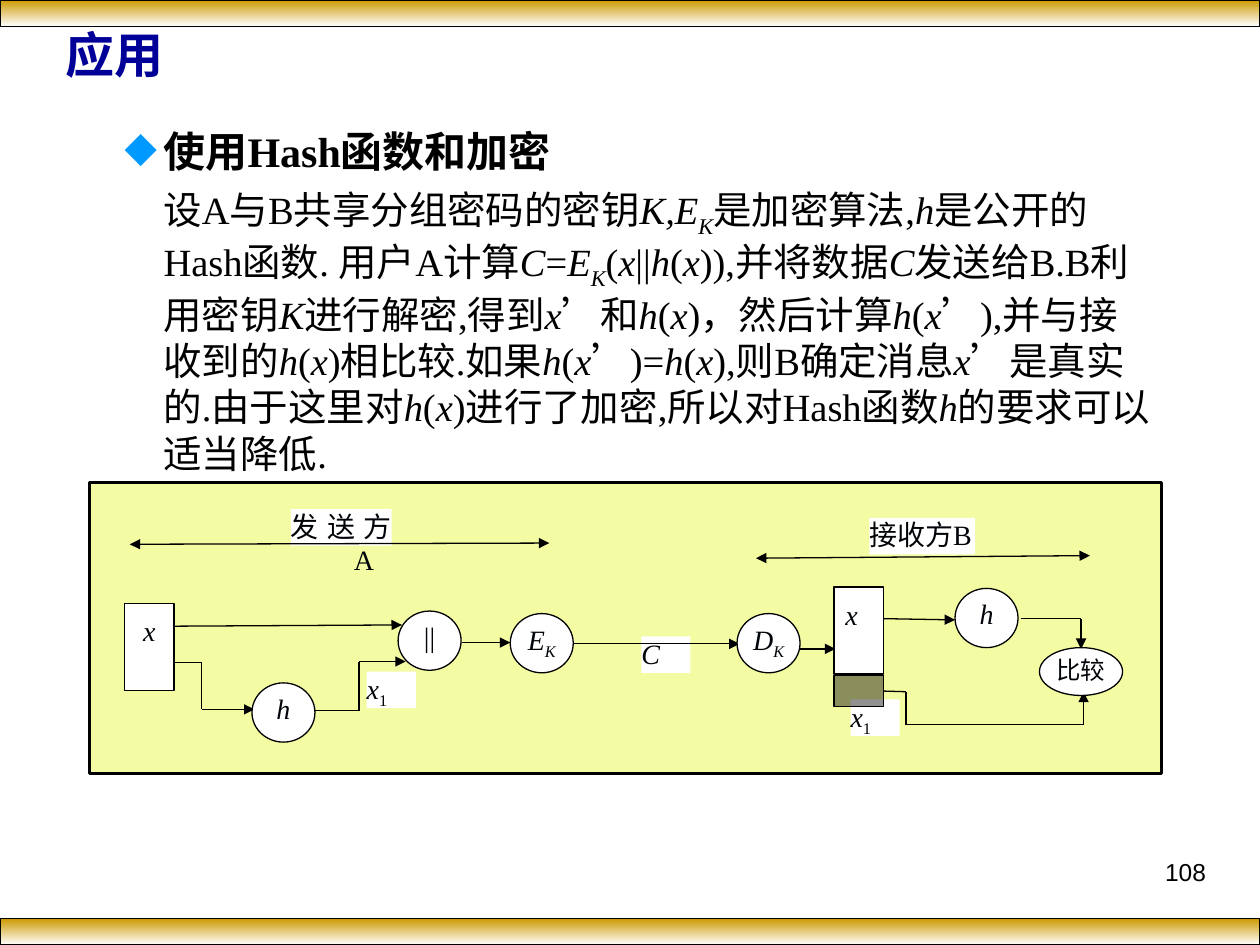
import itertools
from dataclasses import dataclass
from typing import NamedTuple

import lxml.etree
import pptx
import pptx.dml.color
import pptx.enum.dml
import pptx.enum.shapes
import pptx.enum.text
import pptx.oxml.ns
import pptx.util

Inches = pptx.util.Inches
Pt = pptx.util.Pt
Align = pptx.enum.text.PP_ALIGN
Anchor = pptx.enum.text.MSO_ANCHOR
Geometry = pptx.enum.shapes.MSO_SHAPE


@dataclass(frozen=True)
class Theme:
    gold: str = "CC9900"
    white: str = "FFFFFF"
    black: str = "000000"
    title: str = "000099"
    bullet: str = "0099FF"
    panel: str = "F3FBA3"
    label: str = "000408"
    serif: str = "Times New Roman"
    sans: str = "Arial"
    title_size: int = 28
    heading_size: int = 24
    body_size: int = 22
    label_size: int = 16
    small_size: int = 14
    thin: float = 0.75
    thick: float = 2


THEME = Theme()


class Box(NamedTuple):
    left: float
    top: float
    width: float
    height: float


class Label(NamedTuple):
    box: Box
    text: str
    hanging: bool = False


class Node(NamedTuple):
    geometry: Geometry
    box: Box
    text: str
    size: int = THEME.label_size
    margins: tuple = (0, 0, 0, 0)
    alignment: Align = Align.CENTER


class Route(NamedTuple):
    points: tuple
    head: bool = False
    tail: bool = True


def circle(left: float, top: float, text: str) -> Node:
    return Node(Geometry.OVAL, Box(left, top, 0.5, 0.47), text)


LABELS = [
    Label(Box(5.09, 5.05, 0.39, 0.29), "*C*"),
    Label(Box(2.31, 4.04, 0.8, 0.29), "发送方A", True),
    Label(Box(6.9, 4.11, 0.84, 0.29), "接收方B", True),
    Label(Box(6.75, 5.55, 0.39, 0.29), "*x*~1~"),
    Label(Box(2.91, 5.33, 0.39, 0.29), "*x*~1~"),
]
ROUTES = [
    Route(((1.03, 4.32), (4.36, 4.31)), head=True),
    Route(((6, 4.43), (8.65, 4.41)), head=True),
    Route(((7.01, 4.91), (7.58, 4.92))),
    Route(((8.1, 4.91), (8.58, 4.91), (8.58, 5.15))),
    Route(((1.38, 4.97), (3.19, 4.96))),
    Route(((1.38, 5.26), (1.6, 5.26), (1.6, 5.63), (2.02, 5.63))),
    Route(((2.5, 5.64), (2.85, 5.64), (2.85, 5.25), (3.22, 5.25))),
    Route(((3.67, 5.1), (4.05, 5.1))),
    Route(((4.54, 5.11), (5.87, 5.11))),
    Route(((6.35, 5.15), (6.63, 5.15))),
]
HASH_ROUTE = Route(((7.01, 5.49), (7.19, 5.49), (7.19, 5.75), (8.6, 5.75), (8.6, 5.49)))
NODES = [
    Node(Geometry.OVAL, Box(8.25, 5.14, 0.66, 0.38), "比较", THEME.small_size, (0.02, 0, 0.02, 0)),
    Node(Geometry.RECTANGLE, Box(0.99, 4.79, 0.39, 0.69), "*x*", margins=(0.04, 0.08, 0.04, 0.08)),
    Node(Geometry.RECTANGLE, Box(6.62, 4.66, 0.39, 0.69), "*x*",
         margins=(0.09, 0.08, 0.04, 0.08), alignment=Align.LEFT),
    circle(2, 5.42, "*h*"),
    circle(4.05, 4.87, "*E*~*K*~"),
    circle(3.16, 4.85, "||"),
    circle(5.85, 4.87, "*D*~*K*~"),
    circle(7.58, 4.67, "*h*"),
]
BODY = (
    "设A与B共享分组密码的密钥*K,E*~*K*~*是加密算法,*"
    "*h*是公开的Hash函数. 用户A计算*C*=*E*~*K*~(*x*||*h*(*x*)),并将数据*C*发送给B.B利用密钥*K*"
    "进行解密,得到*x*’和*h*(*x*)，然后计算*h*(*x*’),并与接收到的*h*(*x*)相比较."
    "如果*h*(*x*’)=*h*(*x*),则B确定消息*x*’是真实的.由于这里对*h*(*x*)进行了加密,"
    "所以对Hash函数*h*的要求可以适当降低."
).replace("*是加密算法,*", "是加密算法,")


def rgb(color: str) -> pptx.dml.color.RGBColor:
    return pptx.dml.color.RGBColor.from_string(color)


def inches(values) -> list:
    return [Inches(value) for value in values]


def write(paragraph, markup: str, size: int, color: str, font: str = THEME.serif,
          bold: bool = False) -> None:
    paragraph.font.name = font
    paragraph.font.size = Pt(size)
    paragraph.font.bold = bold
    paragraph.font.color.rgb = rgb(color)
    for index, part in enumerate(markup.split("~")):
        for position, text in enumerate(part.split("*")):
            if text:
                run = paragraph.add_run()
                run.text = text
                if position % 2:
                    run.font.italic = True
                if index % 2:
                    run._r.get_or_add_rPr().set("baseline", "-25000")


def set_frame(shape, margins: tuple, anchor: Anchor = Anchor.TOP):
    frame = shape.text_frame
    frame.word_wrap = True
    frame.vertical_anchor = anchor
    (frame.margin_left, frame.margin_top,
     frame.margin_right, frame.margin_bottom) = inches(margins)
    return frame


def add_text_box(slide, box: Box, anchor: Anchor = Anchor.TOP):
    return set_frame(slide.shapes.add_textbox(*inches(box)), (0.1, 0.05, 0.1, 0.05), anchor)


def add_block(slide, geometry: Geometry, box: Box, fill: str, line_width: float = 0):
    shape = slide.shapes.add_shape(geometry, *inches(box))
    shape.shadow.inherit = False
    shape.fill.solid()
    shape.fill.fore_color.rgb = rgb(fill)
    if line_width:
        shape.line.color.rgb = rgb(THEME.black)
        shape.line.width = Pt(line_width)
    else:
        shape.line.fill.background()
    return shape


def add_band(slide, top: float) -> None:
    band = add_block(slide, Geometry.RECTANGLE, Box(0, top, 10, 0.21), THEME.white, THEME.thin)
    band.fill.gradient()
    band.fill.gradient_angle = 270
    for stop, color in zip(band.fill.gradient_stops, (THEME.gold, THEME.white)):
        stop.color.rgb = rgb(color)


def set_indent(paragraph, margin: float, indent: float) -> None:
    properties = paragraph._p.get_or_add_pPr()
    properties.set("marL", str(Inches(margin)))
    properties.set("indent", str(Inches(indent)))


def add_bullet(paragraph) -> None:
    properties = paragraph._p.get_or_add_pPr()
    qn = pptx.oxml.ns.qn
    color = lxml.etree.SubElement(properties, qn("a:buClr"))
    lxml.etree.SubElement(color, qn("a:srgbClr")).set("val", THEME.bullet)
    lxml.etree.SubElement(properties, qn("a:buChar")).set("char", "◆")


def add_label(slide, label: Label) -> None:
    shape = add_block(slide, Geometry.RECTANGLE, label.box, THEME.white)
    paragraph = set_frame(shape, (0, 0, 0, 0)).paragraphs[0]
    paragraph.alignment = Align.JUSTIFY if label.hanging else Align.LEFT
    if label.hanging:
        set_indent(paragraph, 0.5, -0.5)
    write(paragraph, label.text, THEME.label_size, THEME.label)


def add_node(slide, node: Node) -> None:
    shape = add_block(slide, node.geometry, node.box, THEME.white, THEME.thin)
    paragraph = set_frame(shape, node.margins).paragraphs[0]
    paragraph.alignment = node.alignment
    write(paragraph, node.text, node.size, THEME.label)


def add_route(slide, route: Route) -> list:
    qn = pptx.oxml.ns.qn
    connectors = []
    for start, end in itertools.pairwise(route.points):
        connector = slide.shapes.add_connector(
            pptx.enum.shapes.MSO_CONNECTOR.STRAIGHT, *inches(start + end))
        connector.line.color.rgb = rgb(THEME.black)
        connector.line.width = Pt(THEME.thin)
        lxml.etree.SubElement(connector._element.spPr, qn("a:effectLst"))
        connectors.append(connector)
    for wanted, connector, tag in ((route.head, connectors[0], "a:headEnd"),
                                   (route.tail, connectors[-1], "a:tailEnd")):
        if wanted:
            line = connector.line._get_or_add_ln()
            lxml.etree.SubElement(line, qn(tag)).set("type", "triangle")
    return connectors


def add_diagram(slide) -> None:
    add_block(slide, Geometry.RECTANGLE, Box(0.71, 3.83, 8.51, 2.31), THEME.panel, THEME.thick)
    for label in LABELS:
        add_label(slide, label)
    digest = add_block(slide, Geometry.RECTANGLE, Box(6.62, 5.36, 0.39, 0.25),
                       THEME.black, THEME.thin)
    color = digest._element.spPr.find(".//" + pptx.oxml.ns.qn("a:srgbClr"))
    lxml.etree.SubElement(color, pptx.oxml.ns.qn("a:alpha")).set("val", "43000")
    for route in ROUTES:
        add_route(slide, route)
    add_route(slide, HASH_ROUTE)[0].begin_connect(digest, 3)
    for node in NODES:
        add_node(slide, node)


def main() -> None:
    presentation = pptx.Presentation()
    presentation.slide_width, presentation.slide_height = inches((10, 7.5))
    slide = presentation.slides.add_slide(presentation.slide_layouts[6])
    for top in (0, 7.29):
        add_band(slide, top)

    number = add_text_box(slide, Box(7.17, 6.75, 2.5, 0.52)).paragraphs[0]
    number.alignment = Align.RIGHT
    write(number, "108", THEME.small_size, THEME.black, THEME.sans)

    title = add_text_box(slide, Box(0.42, 0.16, 8.73, 0.54), Anchor.MIDDLE).paragraphs[0]
    write(title, "应用", THEME.title_size, THEME.title, bold=True)

    frame = add_text_box(slide, Box(0.39, 0.95, 8.86, 2.91))
    heading = frame.paragraphs[0]
    set_indent(heading, 0.81, -0.31)
    add_bullet(heading)
    write(heading, "使用Hash函数和加密", THEME.heading_size, THEME.black, bold=True)
    body = frame.add_paragraph()
    set_indent(body, 0.81, 0)
    body.space_before = Pt(5.5)
    write(body, BODY, THEME.body_size, THEME.black)

    add_diagram(slide)
    presentation.save("out.pptx")


if __name__ == "__main__":
    main()
